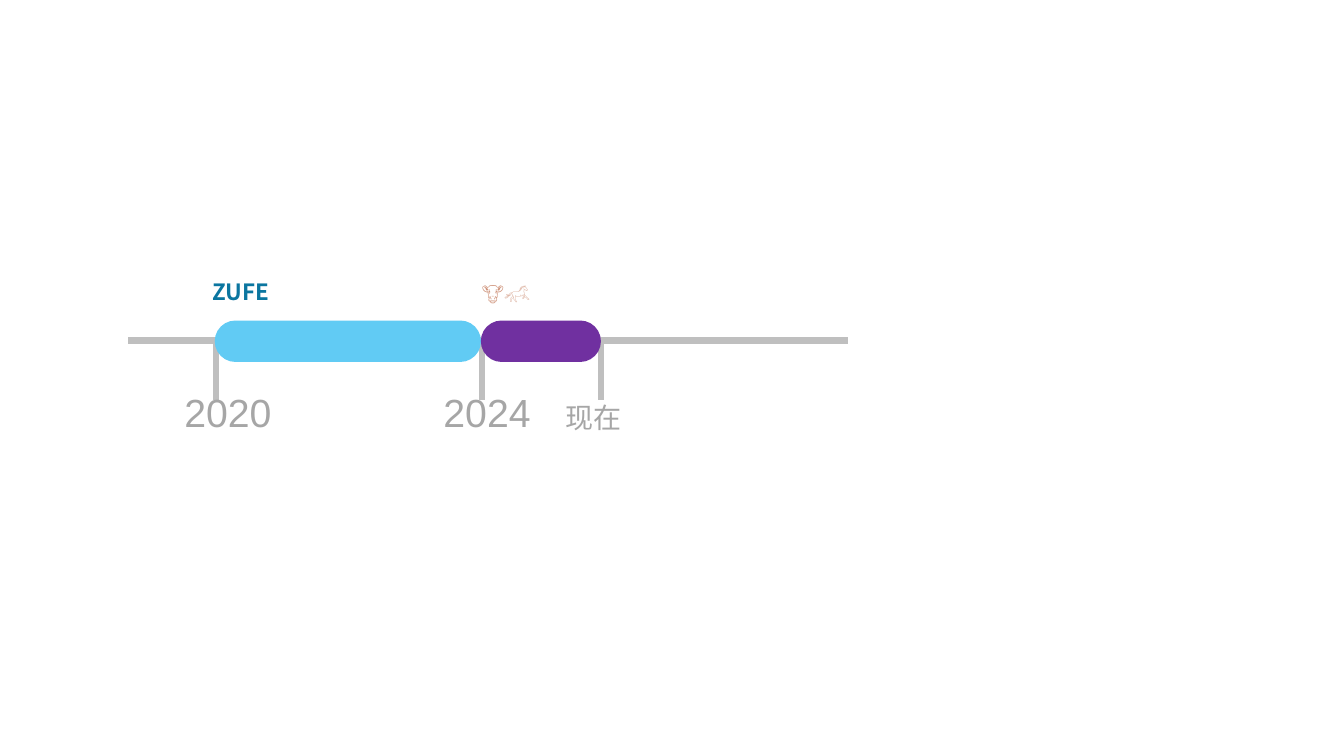
from lxml import etree
from pptx import Presentation
from pptx.dml.color import RGBColor
from pptx.enum.shapes import MSO_CONNECTOR as Connector, MSO_SHAPE as Shape
from pptx.oxml.ns import qn
from pptx.util import Inches, Pt

GREY = "BFBFBF"
LABEL_GREY = "A6A6A6"
CJK = "Noto Sans CJK JP"
AXIS_Y = 3.38
BAR_TOP, BAR_HEIGHT = 3.19, 0.39
TICK_BOTTOM = 3.97


def colour(value):
    return RGBColor.from_string(value)


def add_line(slide, start, end, width):
    line = slide.shapes.add_connector(
        Connector.STRAIGHT, *[Inches(n) for n in (*start, *end)])
    line.line.color.rgb = colour(GREY)
    line.line.width = Pt(width)
    etree.SubElement(line._element.spPr, qn("a:effectLst"))


def add_period(slide, left, width, fill):
    bar = slide.shapes.add_shape(
        Shape.ROUNDED_RECTANGLE, Inches(left), Inches(BAR_TOP),
        Inches(width), Inches(BAR_HEIGHT))
    bar.adjustments[0] = 0.5
    bar.shadow.inherit = False
    bar.fill.solid()
    bar.fill.fore_color.rgb = colour(fill)
    bar.line.color.rgb = colour(fill)
    bar.line.width = Pt(1.5)


def add_text(slide, text, left, top, width, height, *, size, font, color, bold=False):
    frame = slide.shapes.add_textbox(
        Inches(left), Inches(top), Inches(width), Inches(height)).text_frame
    frame.word_wrap = True
    run = frame.paragraphs[0].add_run()
    run.text = text
    run.font.size = Pt(size)
    run.font.name = font
    run.font.bold = bold
    run.font.color.rgb = colour(color)
    # East Asian characters take their font from a separate element
    etree.SubElement(run._r.get_or_add_rPr(), qn("a:ea"), typeface=font)


def main():
    prs = Presentation()
    prs.slide_width, prs.slide_height = Inches(13.33), Inches(7.5)
    slide = prs.slides.add_slide(prs.slide_layouts[6])

    # Time axis and its ticks
    add_line(slide, (1.27, AXIS_Y), (8.41, AXIS_Y), 5)
    for tick in (2.14, 5.96, 4.78):
        add_line(slide, (tick, AXIS_Y), (tick, TICK_BOTTOM), 4.5)

    # Dates below the axis
    for year, left in (("2020", 1.73), ("2024", 4.3)):
        add_text(slide, year, left, 3.8, 1.21, 0.81,
                 size=28, font="Arial", color=LABEL_GREY)
    add_text(slide, "现在", 5.51, 3.92, 1.21, 0.62,
             size=20, font=CJK, color=LABEL_GREY)

    # Periods
    add_period(slide, 2.14, 2.62, "61CBF4")
    add_period(slide, 4.78, 1.17, "7030A0")

    # Period names above the bars
    add_text(slide, "ZUFE", 2.01, 2.71, 2.04, 0.53,
             size=16, font=CJK, color="0B76A0", bold=True)
    add_text(slide, "🐮🐎", 4.68, 2.71, 2.04, 0.53,
             size=16, font="Noto Sans Mono", color="CE9178")

    prs.save("out.pptx")


if __name__ == "__main__":
    main()
